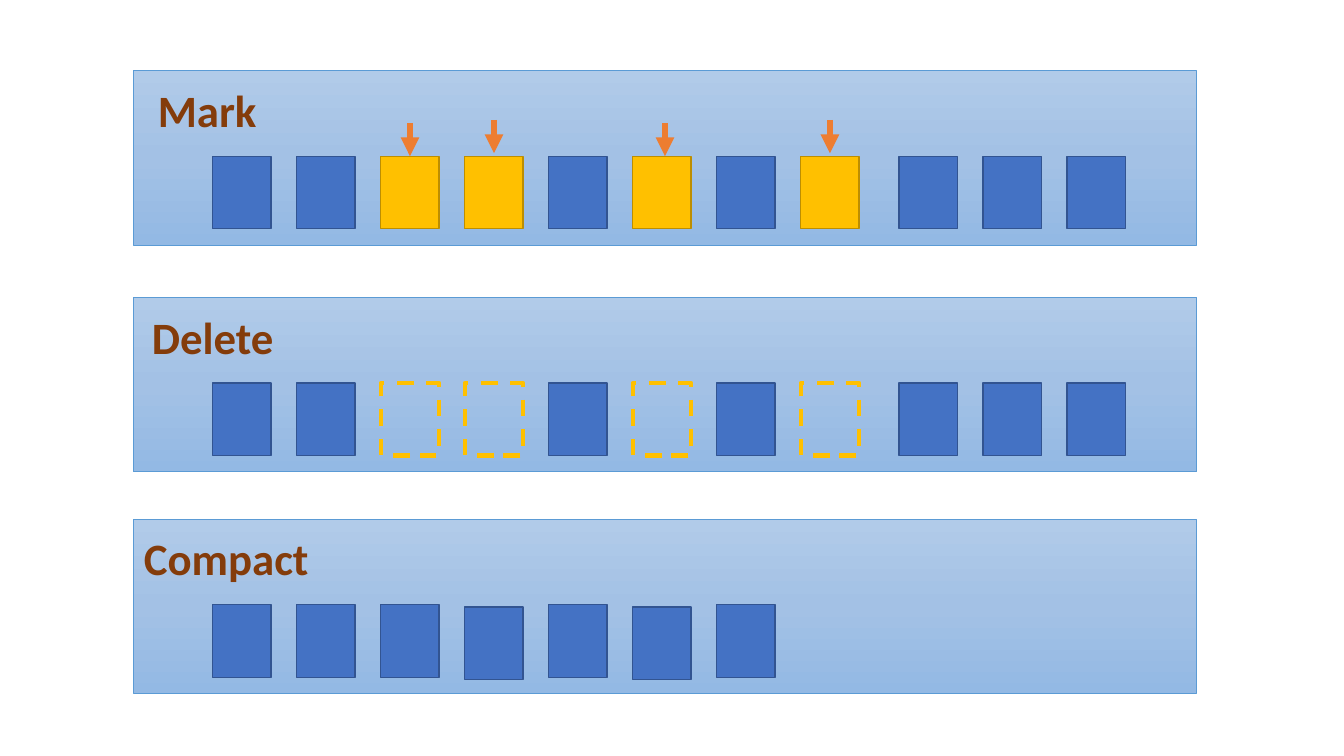
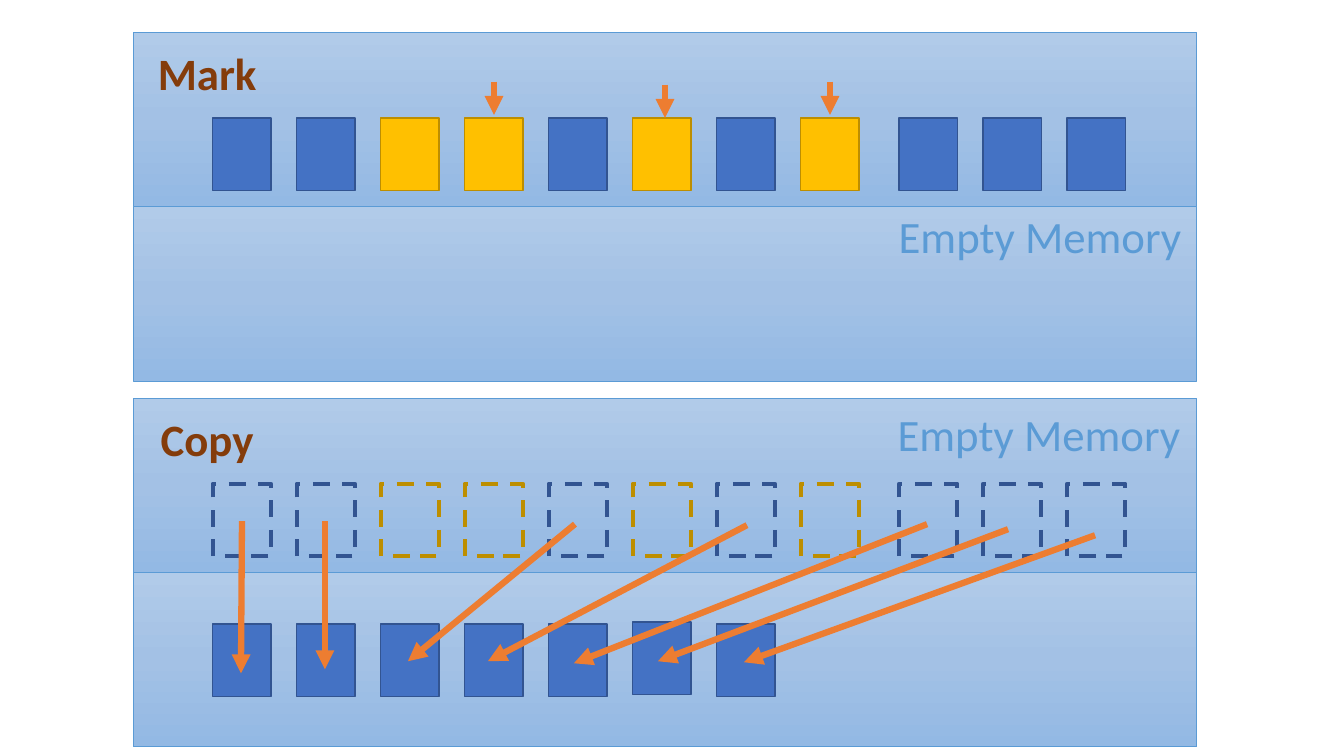
from dataclasses import dataclass, field

from lxml import etree
from pptx import Presentation
from pptx.dml.color import RGBColor
from pptx.enum.dml import MSO_LINE
from pptx.enum.shapes import MSO_CONNECTOR, MSO_SHAPE
from pptx.enum.text import MSO_AUTO_SIZE, PP_ALIGN
from pptx.oxml.ns import qn
from pptx.util import Inches, Pt

RECTANGLE = MSO_SHAPE.RECTANGLE
STRAIGHT = MSO_CONNECTOR.STRAIGHT
DASH = MSO_LINE.DASH
CENTER = PP_ALIGN.CENTER
FIT_TEXT = MSO_AUTO_SIZE.SHAPE_TO_FIT_TEXT

# Slide and memory grid, in inches
SLIDE_WIDTH, SLIDE_HEIGHT = 13.33, 7.5
BAND_LEFT, BAND_WIDTH, BAND_HEIGHT = 1.32, 10.55, 1.73
CELL_LEFT, CELL_WIDTH, CELL_HEIGHT = 2.11, 0.58, 0.72
CELL_PITCH = SLIDE_WIDTH / 16
GAP_COLUMN, GAP_WIDTH = 8, 0.14
LABEL_HEIGHT = 0.64
MARK_LENGTH = 0.33

# Shared colours and text formats
BAND_STOPS = {0: "B1CBE9", 50: "A3C1E5", 100: "93B9E4"}
BAND_LINE = "5B9BD5"
ARROW_COLOUR = "ED7D31"
TITLE_FORMAT = {"name": "Calibri", "size": Pt(32), "bold": True}
NOTE_FORMAT = {**TITLE_FORMAT, "bold": False}
TITLE_COLOUR, NOTE_COLOUR = "843C0B", "5B9BD5"


@dataclass(frozen=True)
class CellStyle:
    fill: str | None
    line: str
    width: float = 1


# One letter per cell in a memory row
CELL_STYLES = {
    "L": CellStyle("4472C4", "325491"),  # live
    "D": CellStyle("FFC000", "BD8E00"),  # dead
    "x": CellStyle(None, "FFC000", 3),  # deleted
    "l": CellStyle(None, "325491", 3),  # live, moved away
    "d": CellStyle(None, "BD8E00", 3),  # dead, left behind
}


@dataclass(frozen=True)
class MemoryRow:
    top: float
    cells: str = ""
    cell_offset: float = 0.85
    nudges: dict[int, float] = field(default_factory=dict)

    @property
    def cell_top(self) -> float:
        return self.top + self.cell_offset


@dataclass(frozen=True)
class Label:
    text: str
    left: float
    top: float
    width: float
    is_title: bool = True


@dataclass(frozen=True)
class Mark:
    column: int
    lift: float = 0
    shift: float = 0


@dataclass(frozen=True)
class Move:
    source: int
    target: int
    start_shift: tuple[float, float]
    end_shift: tuple[float, float]


MARKED = "LLDDLDLDLLL"
SURVIVORS = "L" * MARKED.count("L")

# Slide 1: mark, delete, compact
MARK_ROW = MemoryRow(0.7, MARKED)
DELETE_ROW = MemoryRow(2.95, MARKED.replace("D", "x"))
COMPACT_ROW = MemoryRow(5.15, SURVIVORS, nudges={3: 0.02, 5: 0.02})
COMPACT_LABELS = [
    Label("Mark", 1.46, 0.77, 1.19),
    Label("Delete", 1.4, 3.02, 1.42),
    Label("Compact", 1.32, 5.22, 1.85),
]
LATER_MARKS = [Mark(3, lift=0.03), Mark(5, shift=0.03), Mark(7, lift=0.03)]
COMPACT_MARKS = [Mark(2), *LATER_MARKS]

# Slide 2: mark, copy
FROM_ROW = MemoryRow(0.32, MARKED)
SPARE_ROW = MemoryRow(FROM_ROW.top + BAND_HEIGHT)
VACATED_ROW = MemoryRow(3.95, MARKED.lower())
TO_ROW = MemoryRow(VACATED_ROW.top + BAND_HEIGHT, SURVIVORS, 0.51, {5: -0.02})
COPY_LABELS = [
    Label("Mark", 1.46, 0.4, 1.19),
    Label("Empty Memory", 8.77, 2.02, 3.09, is_title=False),
    Label("Empty Memory", 8.76, 3.99, 3.09, is_title=False),
    Label("Copy", 1.49, 4.04, 1.13),
]
MOVES = [
    Move(0, 0, (0, 0.01), (-0.01, 0.13)),
    Move(1, 1, (-0.01, 0.01), (-0.01, 0.09)),
    Move(4, 2, (-0.03, 0.04), (-0.02, 0.01)),
    Move(6, 3, (0.01, 0.05), (-0.06, 0.01)),
    Move(8, 4, (-0.01, 0.04), (-0.04, 0.03)),
    Move(9, 5, (-0.04, 0.09), (-0.04, 0.01)),
    Move(10, 6, (-0.01, 0.15), (-0.02, 0.02)),
]


def colour(value: str) -> RGBColor:
    return RGBColor.from_string(value)


def column_left(column: int) -> float:
    gap = GAP_WIDTH if column >= GAP_COLUMN else 0
    return CELL_LEFT + column * CELL_PITCH + gap


def column_center(column: int) -> float:
    return column_left(column) + CELL_WIDTH / 2


def add_box(slide, left: float, top: float, width: float, height: float,
            line: str, line_width: float):
    shape = slide.shapes.add_shape(
        RECTANGLE, *map(Inches, (left, top, width, height)))
    shape.shadow.inherit = False
    shape.line.color.rgb = colour(line)
    shape.line.width = Pt(line_width)
    return shape


def add_band(slide, top: float) -> None:
    band = add_box(slide, BAND_LEFT, top, BAND_WIDTH, BAND_HEIGHT, BAND_LINE, 0.5)
    band.fill.gradient()
    band.fill.gradient_angle = 270
    # The gradient needs a third stop
    stops = next(band._element.iter(qn("a:gsLst")))
    for stop in list(stops):
        stops.remove(stop)
    for percent, value in BAND_STOPS.items():
        stop = etree.SubElement(stops, qn("a:gs"), pos=str(percent * 1000))
        etree.SubElement(stop, qn("a:srgbClr"), val=value)


def add_cell(slide, column: int, top: float, style: CellStyle) -> None:
    cell = add_box(slide, column_left(column), top, CELL_WIDTH, CELL_HEIGHT,
                   style.line, style.width)
    if style.fill:
        cell.fill.solid()
        cell.fill.fore_color.rgb = colour(style.fill)
    else:
        cell.fill.background()
        cell.line.dash_style = DASH


def add_row(slide, row: MemoryRow) -> None:
    add_band(slide, row.top)
    for column, kind in enumerate(row.cells):
        top = row.cell_top + row.nudges.get(column, 0)
        add_cell(slide, column, top, CELL_STYLES[kind])


def add_label(slide, label: Label) -> None:
    box = slide.shapes.add_textbox(
        *map(Inches, (label.left, label.top, label.width, LABEL_HEIGHT)))
    frame = box.text_frame
    frame.word_wrap = False
    frame.auto_size = FIT_TEXT
    paragraph = frame.paragraphs[0]
    paragraph.alignment = CENTER
    run = paragraph.add_run()
    run.text = label.text
    text_format = TITLE_FORMAT if label.is_title else NOTE_FORMAT
    for name, value in text_format.items():
        setattr(run.font, name, value)
    run.font.color.rgb = colour(TITLE_COLOUR if label.is_title else NOTE_COLOUR)


def add_arrow(slide, start: tuple[float, float], end: tuple[float, float]) -> None:
    arrow = slide.shapes.add_connector(STRAIGHT, *map(Inches, (*start, *end)))
    arrow.line.color.rgb = colour(ARROW_COLOUR)
    arrow.line.width = Pt(4.5)
    properties = arrow._element.spPr
    etree.SubElement(properties.find(qn("a:ln")), qn("a:tailEnd"), type="triangle")
    etree.SubElement(properties, qn("a:effectLst"))


def add_mark(slide, row: MemoryRow, mark: Mark) -> None:
    x = column_center(mark.column) + mark.shift
    tip = row.cell_top - mark.lift
    add_arrow(slide, (x, tip - MARK_LENGTH), (x, tip))


def add_move(slide, move: Move) -> None:
    def near_center(row: MemoryRow, column: int, shift: tuple[float, float]):
        return (column_center(column) + shift[0],
                row.cell_top + CELL_HEIGHT / 2 + shift[1])

    add_arrow(slide, near_center(VACATED_ROW, move.source, move.start_shift),
              near_center(TO_ROW, move.target, move.end_shift))


def build_slide(presentation, rows: list[MemoryRow], labels: list[Label],
                marked_row: MemoryRow, marks: list[Mark], moves: list[Move]) -> None:
    slide = presentation.slides.add_slide(presentation.slide_layouts[6])
    for row in rows:
        add_row(slide, row)
    for mark in marks:
        add_mark(slide, marked_row, mark)
    for move in moves:
        add_move(slide, move)
    for label in labels:
        add_label(slide, label)


def main() -> None:
    presentation = Presentation()
    presentation.slide_width = Inches(SLIDE_WIDTH)
    presentation.slide_height = Inches(SLIDE_HEIGHT)
    build_slide(presentation, [MARK_ROW, DELETE_ROW, COMPACT_ROW],
                COMPACT_LABELS, MARK_ROW, COMPACT_MARKS, [])
    build_slide(presentation, [SPARE_ROW, FROM_ROW, TO_ROW, VACATED_ROW],
                COPY_LABELS, FROM_ROW, LATER_MARKS, MOVES)
    presentation.save("out.pptx")


if __name__ == "__main__":
    main()
